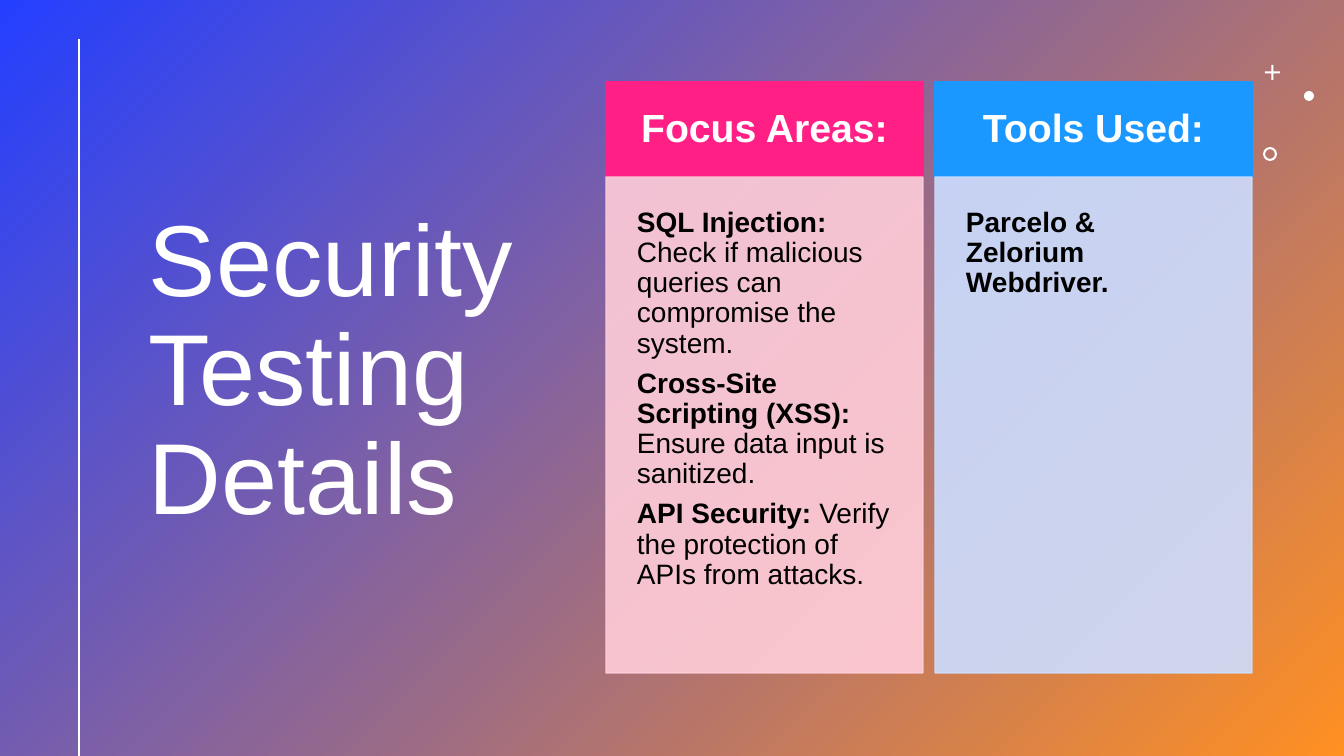
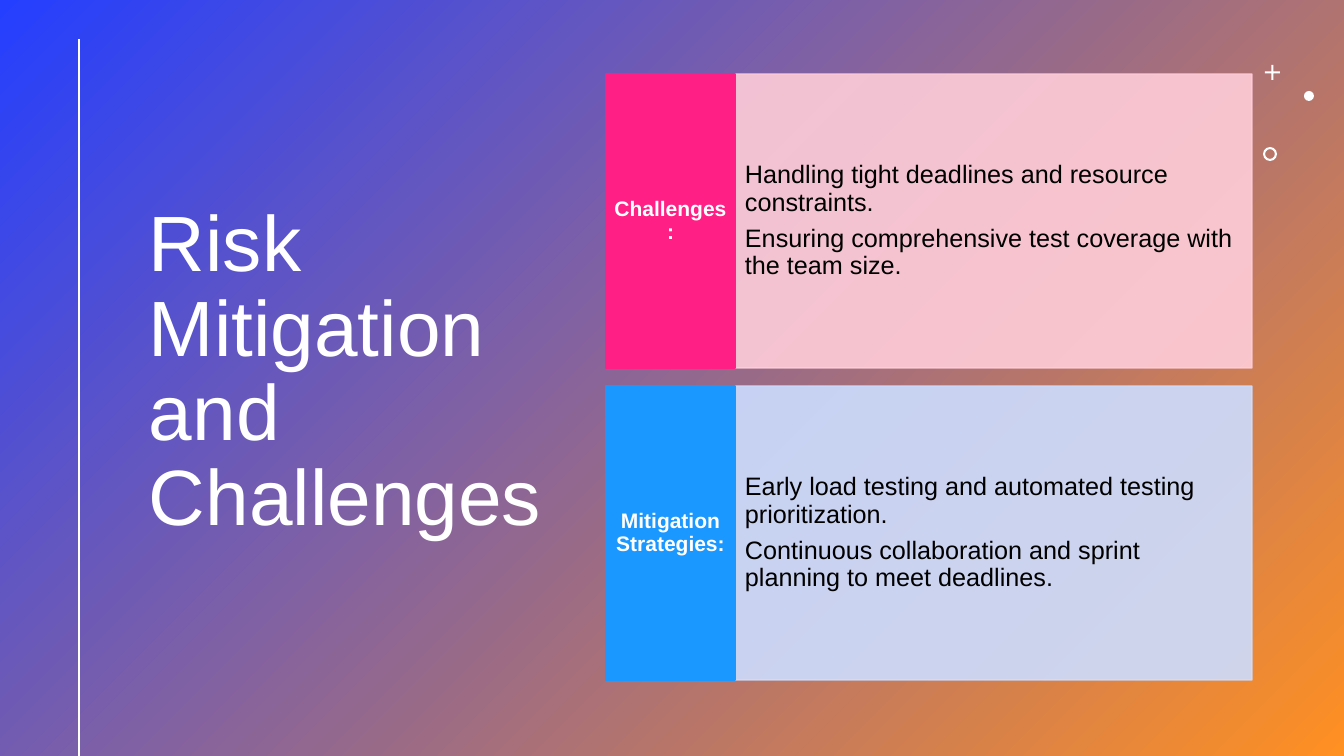
from lxml import etree
from pptx import Presentation
from pptx import util as u
from pptx.dml.color import RGBColor
from pptx.enum import shapes, text
from pptx.oxml.ns import qn

PX = 12700 * 5 / 7
FONT = "Arial"
WHITE = RGBColor(0xFF, 0xFF, 0xFF)
BLACK = RGBColor(0x00, 0x00, 0x00)
BLUE = RGBColor(0x24, 0x3F, 0xFF)
ORANGE = RGBColor(0xFF, 0x90, 0x22)
PINK = RGBColor(0xFF, 0x1F, 0x85)
PALE_PINK = RGBColor(0xFF, 0xCD, 0xD9)
SKY = RGBColor(0x1A, 0x98, 0xFF)
PALE_BLUE = RGBColor(0xCC, 0xDD, 0xFF)
ACCENTS = [(PINK, PALE_PINK), (SKY, PALE_BLUE)]
MIDDLE, TOP = text.MSO_ANCHOR.MIDDLE, text.MSO_ANCHOR.TOP
CENTER, LEFT = text.PP_ALIGN.CENTER, text.PP_ALIGN.LEFT


def add_plain_shape(slide, kind, box, color):
    shape = slide.shapes.add_shape(kind, *[u.Emu(round(n * PX)) for n in box])
    shape.shadow.inherit = False
    shape.fill.solid()
    shape.fill.fore_color.rgb = color
    shape.line.fill.background()
    return shape


def add_panel(slide, box, color, paragraphs, size, font_color, align, anchor, insets, opaque):
    shape = add_plain_shape(slide, shapes.MSO_SHAPE.RECTANGLE, box, color)
    shape.line.color.rgb = color
    shape.line.width = u.Pt(1)
    if not opaque:
        for tint in shape._element.spPr.iter(qn("a:srgbClr")):
            etree.SubElement(tint, qn("a:alpha"), val="90000")
    frame = shape.text_frame
    frame.word_wrap = True
    frame.vertical_anchor = anchor
    frame.margin_left = frame.margin_right = u.Emu(round(insets[0] * PX))
    frame.margin_top = frame.margin_bottom = u.Emu(round(insets[1] * PX))
    for index, (strong, normal) in enumerate(paragraphs):
        paragraph = frame.paragraphs[0] if index == 0 else frame.add_paragraph()
        paragraph.alignment = align
        paragraph.line_spacing = 0.9
        paragraph.space_after = u.Pt(size * 0.35)
        paragraph.font.name = FONT
        paragraph.font.size = u.Pt(size)
        paragraph.font.color.rgb = font_color
        for words, bold in ((strong, True), (normal, False)):
            if words:
                run = paragraph.add_run()
                run.text = words
                run.font.bold = bold


presentation = Presentation()
presentation.slide_width = u.Emu(round(1344 * PX))
presentation.slide_height = u.Emu(round(756 * PX))

slides = []
for title, title_size in [("Security Testing Details", 72), ("Risk Mitigation and Challenges", 56)]:
    slide = presentation.slides.add_slide(presentation.slide_layouts[6])
    slides.append(slide)

    backdrop = add_plain_shape(slide, shapes.MSO_SHAPE.RECTANGLE, (0, 0, 1344, 756), BLUE)
    backdrop.fill.gradient()
    backdrop.fill.gradient_angle = 315
    for stop, color in zip(backdrop.fill.gradient_stops, (BLUE, ORANGE)):
        stop.color.rgb = color

    title_box = slide.shapes.add_textbox(*[u.Emu(round(n * PX)) for n in (139, 65, 434, 616)])
    title_box.text_frame.word_wrap = True
    title_box.text_frame.vertical_anchor = MIDDLE
    paragraph = title_box.text_frame.paragraphs[0]
    paragraph.text = title
    paragraph.line_spacing = 0.9
    paragraph.font.name = FONT
    paragraph.font.size = u.Pt(title_size)
    paragraph.font.color.rgb = WHITE

    rule = slide.shapes.add_connector(
        shapes.MSO_CONNECTOR.STRAIGHT, *[u.Emu(round(n * PX)) for n in (79, 39, 79, 756)])
    rule.line.color.rgb = WHITE
    rule.line.width = u.Pt(2)
    etree.SubElement(rule._element.spPr, qn("a:effectLst"))

    plus = add_plain_shape(slide, shapes.MSO_SHAPE.CROSS, (1265, 65, 15, 15), WHITE)
    plus.adjustments[0] = 0.43
    add_plain_shape(slide, shapes.MSO_SHAPE.OVAL, (1304, 91, 10, 10), WHITE)
    ring = add_plain_shape(slide, shapes.MSO_SHAPE.DONUT, (1263, 147, 14, 14), WHITE)
    ring.adjustments[0] = 0.15

security_slide, risk_slide = slides

columns = [
    ("Focus Areas:", [
        ("SQL Injection:", " Check if malicious queries can compromise the system."),
        ("Cross-Site Scripting (XSS):", " Ensure data input is sanitized."),
        ("API Security:", " Verify the protection of APIs from attacks."),
    ]),
    ("Tools Used:", [("Parcelo & Zelorium Webdriver.", "")]),
]
for index, (heading, details) in enumerate(columns):
    strong_color, pale_color = ACCENTS[index]
    left = 606 + index * 329
    add_panel(security_slide, (left, 82, 317, 95), strong_color, [(heading, "")],
              28, WHITE, CENTER, MIDDLE, (25, 25), True)
    add_panel(security_slide, (left, 177, 317, 496), pale_color, details,
              20, BLACK, LEFT, TOP, (31, 31), False)

rows = [
    ("Challenges:", [
        "Handling tight deadlines and resource constraints.",
        "Ensuring comprehensive test coverage with the team size.",
    ]),
    ("Mitigation Strategies:", [
        "Early load testing and automated testing prioritization.",
        "Continuous collaboration and sprint planning to meet deadlines.",
    ]),
]
for index, (heading, details) in enumerate(rows):
    strong_color, pale_color = ACCENTS[index]
    top = 74 + index * 312
    add_panel(risk_slide, (735, top, 517, 294), pale_color, [("", detail) for detail in details],
              18, BLACK, LEFT, MIDDLE, (10, 75), False)
    add_panel(risk_slide, (606, top, 129, 294), strong_color, [(heading, "")],
              15, WHITE, CENTER, MIDDLE, (7, 29), True)

presentation.save("out.pptx")
